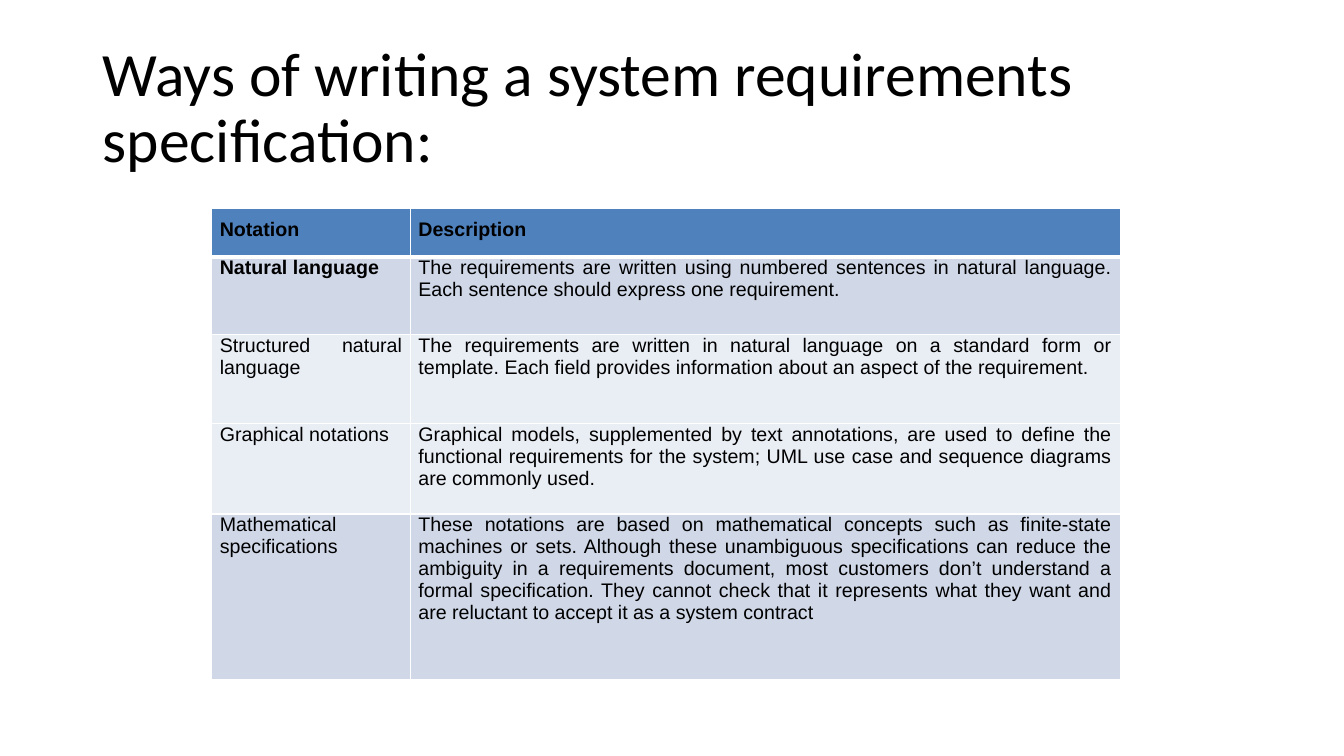
from dataclasses import dataclass

import lxml.etree
import pptx
import pptx.dml.color
import pptx.enum.text
import pptx.oxml.ns
import pptx.util

Inches = pptx.util.Inches
Pt = pptx.util.Pt
Align = pptx.enum.text.PP_ALIGN
Anchor = pptx.enum.text.MSO_ANCHOR


@dataclass(frozen=True)
class Theme:
    text: str = "000000"
    border: str = "FFFFFF"
    header: str = "4F81BD"
    band_dark: str = "D0D8E8"
    band_light: str = "E9EDF4"
    title_font: str = "Calibri"
    table_font: str = "Arial"
    title_size: int = 44
    table_size: int = 14
    thin: int = 1
    thick: int = 3


@dataclass(frozen=True)
class NotationRow:
    notation: str
    description: str
    height: float
    fill: str
    bold_notation: bool = False
    is_header: bool = False
    top_line: int = 1
    bottom_line: int = 1


@dataclass(frozen=True)
class NotationTable:
    top: float
    rows: list[NotationRow]


THEME = Theme()
TABLE_LEFT = 2.1
COLUMN_WIDTHS = (1.97, 7.04)

# Content of the two stacked tables
TABLES = [
    NotationTable(2.07, [
        NotationRow("Notation", "Description", 0.48, THEME.header,
                    bold_notation=True, is_header=True, bottom_line=THEME.thick),
        NotationRow("Natural language",
                    "The requirements are written using numbered sentences in natural "
                    "language. Each sentence should express one requirement.",
                    0.77, THEME.band_dark, bold_notation=True, top_line=THEME.thick),
        NotationRow("Structured natural language",
                    "The requirements are written in natural language on a standard form "
                    "or template. Each field provides information about an aspect of the "
                    "requirement.", 0.89, THEME.band_light),
    ]),
    NotationTable(4.2, [
        NotationRow("Graphical notations",
                    "Graphical models, supplemented by text annotations, are used to define "
                    "the functional requirements for the system; UML use case and sequence "
                    "diagrams are commonly used.", 0.9, THEME.band_light),
        NotationRow("Mathematical specifications",
                    "These notations are based on mathematical concepts such as finite-state "
                    "machines or sets. Although these unambiguous specifications can reduce "
                    "the ambiguity in a requirements document, most customers don’t "
                    "understand a formal specification. They cannot check that it represents "
                    "what they want and are reluctant to accept it as a system contract",
                    1.64, THEME.band_dark),
    ]),
]


def rgb(value: str) -> pptx.dml.color.RGBColor:
    return pptx.dml.color.RGBColor.from_string(value)


def format_paragraph(p, font: str, size: int, bold: bool, align: Align) -> None:
    p.alignment = align
    for r in p.runs:
        r.font.name = font
        r.font.size = Pt(size)
        r.font.bold = bold
        r.font.color.rgb = rgb(THEME.text)


def set_borders(cell, top: int, bottom: int) -> None:
    """Border lines come before the fill in the cell properties."""
    qn = pptx.oxml.ns.qn
    tc_pr = cell._tc.get_or_add_tcPr()
    widths = {"a:lnL": THEME.thin, "a:lnR": THEME.thin, "a:lnT": top, "a:lnB": bottom}
    for i, (tag, width) in enumerate(widths.items()):
        line = lxml.etree.Element(qn(tag), w=str(Pt(width)))
        fill = lxml.etree.SubElement(line, qn("a:solidFill"))
        lxml.etree.SubElement(fill, qn("a:srgbClr"), val=THEME.border)
        tc_pr.insert(i, line)


def fill_cell(cell, text: str, row: NotationRow, bold: bool, align: Align) -> None:
    cell.fill.solid()
    cell.fill.fore_color.rgb = rgb(row.fill)
    set_borders(cell, row.top_line, row.bottom_line)
    cell.margin_left = cell.margin_right = Inches(0.08)
    cell.margin_top = Inches(0.1 if row.is_header else 0)
    cell.margin_bottom = Inches(0.1)
    cell.vertical_anchor = Anchor.TOP
    cell.text_frame.text = text
    format_paragraph(cell.text_frame.paragraphs[0], THEME.table_font,
                     THEME.table_size, bold, align)


def add_notation_table(s, spec: NotationTable) -> None:
    table = s.shapes.add_table(
        len(spec.rows), len(COLUMN_WIDTHS), Inches(TABLE_LEFT), Inches(spec.top),
        Inches(sum(COLUMN_WIDTHS)), Inches(sum(row.height for row in spec.rows))).table
    table.first_row = spec.rows[0].is_header
    table.horz_banding = False
    for column, width in zip(table.columns, COLUMN_WIDTHS):
        column.width = Inches(width)
    for i, row in enumerate(spec.rows):
        table.rows[i].height = Inches(row.height)
        notation_align = Align.LEFT if row.is_header else Align.JUSTIFY
        fill_cell(table.cell(i, 0), row.notation, row, row.bold_notation, notation_align)
        fill_cell(table.cell(i, 1), row.description, row, row.is_header, Align.JUSTIFY)


def add_title(s, text: str) -> None:
    sp = s.shapes.title
    sp.left, sp.top = Inches(0.92), Inches(0.36)
    sp.width, sp.height = Inches(11.5), Inches(1.45)
    tf = sp.text_frame
    tf.text = text
    tf.word_wrap = True
    tf.auto_size = pptx.enum.text.MSO_AUTO_SIZE.NONE
    tf.vertical_anchor = Anchor.MIDDLE
    p = tf.paragraphs[0]
    p.line_spacing = 0.9
    format_paragraph(p, THEME.title_font, THEME.title_size, False, Align.LEFT)


def main() -> None:
    prs = pptx.Presentation()
    prs.slide_width, prs.slide_height = Inches(13.33), Inches(7.5)
    s = prs.slides.add_slide(prs.slide_layouts.get_by_name("Title Only"))

    # Title, then the tables
    add_title(s, "Ways of writing a system requirements specification:")
    for spec in TABLES:
        add_notation_table(s, spec)

    prs.save("out.pptx")


if __name__ == "__main__":
    main()
